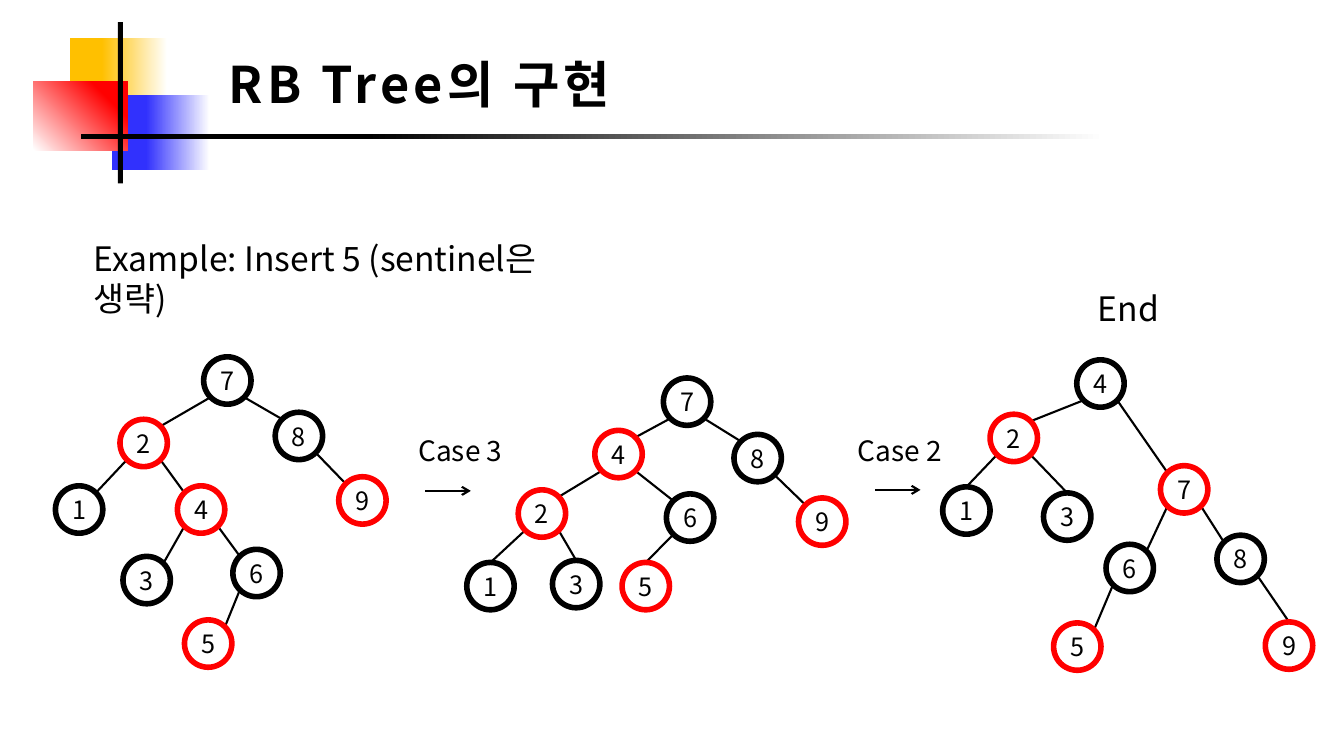
from lxml import etree
from pptx import Presentation
from pptx.dml.color import RGBColor
from pptx.enum.shapes import MSO_CONNECTOR, MSO_SHAPE
from pptx.enum.text import MSO_ANCHOR, MSO_AUTO_SIZE, PP_ALIGN
from pptx.oxml.ns import qn
from pptx.util import Inches, Pt

BLACK = RGBColor(0, 0, 0)
WHITE = RGBColor(255, 255, 255)
RED = RGBColor(255, 0, 0)
GOLD = RGBColor(255, 192, 0)
BLUE = RGBColor(49, 49, 253)

RECT = MSO_SHAPE.RECTANGLE
OVAL = MSO_SHAPE.OVAL
LINE = MSO_CONNECTOR.STRAIGHT
CENTER = PP_ALIGN.CENTER
LEFT = PP_ALIGN.LEFT
MIDDLE = MSO_ANCHOR.MIDDLE
GROW = MSO_AUTO_SIZE.SHAPE_TO_FIT_TEXT

FONT = "Noto Sans CJK KR"
SIZE = 0.47
NEAR = 0.07
FAR = SIZE - NEAR

LABEL = {"word_wrap": True, "auto_size": GROW}
NODE = {"word_wrap": False, "vertical_anchor": MIDDLE, "margin_left": 0,
        "margin_right": 0, "margin_top": 0, "margin_bottom": 0}

BLOCKS = [
    (0.69, 0.38, 0.97, 0.95, GOLD, 0.67, 180),
    (1.11, 0.94, 0.97, 0.75, BLUE, 0.65, 180),
    (0.33, 0.81, 0.94, 0.68, RED, 0.78, 45),
    (1.17, 0.22, 0.05, 1.6, BLACK, None, None),
    (0.8, 1.33, 10.16, 0.05, BLACK, 0.72, 180),
]

LABELS = [
    ("Example: Insert 5 (sentinel은 생략)", 0.83, 2.31, 5.15, 0.5, 24),
    ("Case 3", 4.05, 4.25, 1.15, 0.44, 20),
    ("Case 2", 8.41, 4.25, 1.15, 0.44, 20),
    ("End", 10.79, 2.81, 0.85, 0.5, 24),
]

ARROWS = [(4.22, 4.87), (8.68, 4.86)]

TREES = [
    {"nodes": {1: (0.55, 4.82), 2: (1.19, 4.16), 3: (1.22, 5.52),
               4: (1.76, 4.82), 5: (1.83, 6.15), 6: (2.31, 5.45),
               7: (2.02, 3.54), 8: (2.73, 4.09), 9: (3.36, 4.73)},
     "reds": {2, 4, 5, 9},
     "edges": [(7, 2), (7, 8), (2, 1), (2, 4), (4, 3), (4, 6), (6, 5), (8, 9)],
     "tops": set()},
    {"nodes": {1: (4.63, 5.58), 2: (5.14, 4.86), 3: (5.48, 5.56),
               4: (5.9, 4.27), 5: (6.17, 5.58), 6: (6.61, 4.9),
               7: (6.58, 3.75), 8: (7.28, 4.31), 9: (7.92, 4.94)},
     "reds": {2, 4, 5, 9},
     "edges": [(7, 4), (7, 8), (4, 2), (4, 6), (2, 1), (2, 3), (6, 5), (8, 9)],
     "tops": {1, 3, 5}},
    {"nodes": {1: (9.35, 4.83), 2: (9.82, 4.11), 3: (10.35, 4.89),
               4: (10.68, 3.57), 5: (10.45, 6.18), 6: (10.97, 5.4),
               7: (11.51, 4.62), 8: (12.07, 5.31), 9: (12.55, 6.17)},
     "reds": {2, 5, 7, 9},
     "edges": [(4, 2), (4, 7), (2, 1), (2, 3), (7, 6), (7, 8), (6, 5), (8, 9)],
     "tops": {1, 3, 9}},
]


class Board:
    def __init__(self, slide):
        self.slide = slide
        self.font = {"name": FONT, "bold": False}

    def text(self, frame, text, size, align=LEFT, form=LABEL, bold=False, space=0):
        for key, value in form.items():
            setattr(frame, key, value)
        par = frame.paragraphs[0]
        par.alignment = align
        run = par.add_run()
        run.text = text
        for key, value in {**self.font, "size": Pt(size), "bold": bold}.items():
            setattr(run.font, key, value)
        run.font.color.rgb = BLACK
        props = run._r.get_or_add_rPr()
        etree.SubElement(props, qn("a:ea"), typeface=FONT)
        if space:
            props.set("spc", str(space * 100))

    def label(self, text, x, y, w, h, size, **extra):
        box = self.slide.shapes.add_textbox(*map(Inches, (x, y, w, h)))
        self.text(box.text_frame, text, size, **extra)

    def block(self, group, x, y, w, h, color, stop, angle):
        shape = group.shapes.add_shape(RECT, *map(Inches, (x, y, w, h)))
        shape.shadow.inherit = False
        shape.line.fill.background()
        if stop is None:
            shape.fill.solid()
            shape.fill.fore_color.rgb = color
            return
        shape.fill.gradient()
        shape.fill.gradient_angle = angle
        for mark, tone, place in zip(shape.fill.gradient_stops, (WHITE, color), (0, stop)):
            mark.color.rgb = tone
            mark.position = place

    def line(self, group, start, end, arrow=False):
        link = group.shapes.add_connector(LINE, *map(Inches, (*start, *end)))
        link.line.color.rgb = BLACK
        link.line.width = Pt(1.5)
        props = link._element.spPr
        if arrow:
            etree.SubElement(props.find(qn("a:ln")), qn("a:tailEnd"), type="arrow")
        etree.SubElement(props, qn("a:effectLst"))

    def node(self, group, key, x, y, color):
        shape = group.shapes.add_shape(OVAL, *map(Inches, (x, y, SIZE, SIZE)))
        shape.shadow.inherit = False
        shape.fill.solid()
        shape.fill.fore_color.rgb = WHITE
        shape.line.color.rgb = color
        shape.line.width = Pt(4)
        self.text(shape.text_frame, str(key), 18, CENTER, NODE)

    def tree(self, nodes, reds, edges, tops):
        group = self.slide.shapes.add_group_shape()
        for parent, child in edges:
            (px, py), (cx, cy) = nodes[parent], nodes[child]
            out, into = (NEAR, FAR) if cx < px else (FAR, NEAR)
            end = (cx + SIZE / 2, cy) if child in tops else (cx + into, cy + NEAR)
            self.line(group, (px + out, py + FAR), end)
        for key, (x, y) in nodes.items():
            self.node(group, key, x, y, RED if key in reds else BLACK)


def main():
    deck = Presentation()
    deck.slide_width = Inches(13.33)
    deck.slide_height = Inches(7.5)
    slide = deck.slides.add_slide(deck.slide_layouts[6])
    board = Board(slide)
    board.label("RB Tree의 구현", 2.17, 0.48, 7.32, 0.71, 36, bold=True, space=3)
    group = slide.shapes.add_group_shape()
    for block in BLOCKS:
        board.block(group, *block)
    for label in LABELS:
        board.label(*label)
    for x, y in ARROWS:
        board.line(slide, (x, y), (x + 0.45, y), arrow=True)
    for tree in TREES:
        board.tree(**tree)
    deck.save("out.pptx")


if __name__ == "__main__":
    main()
